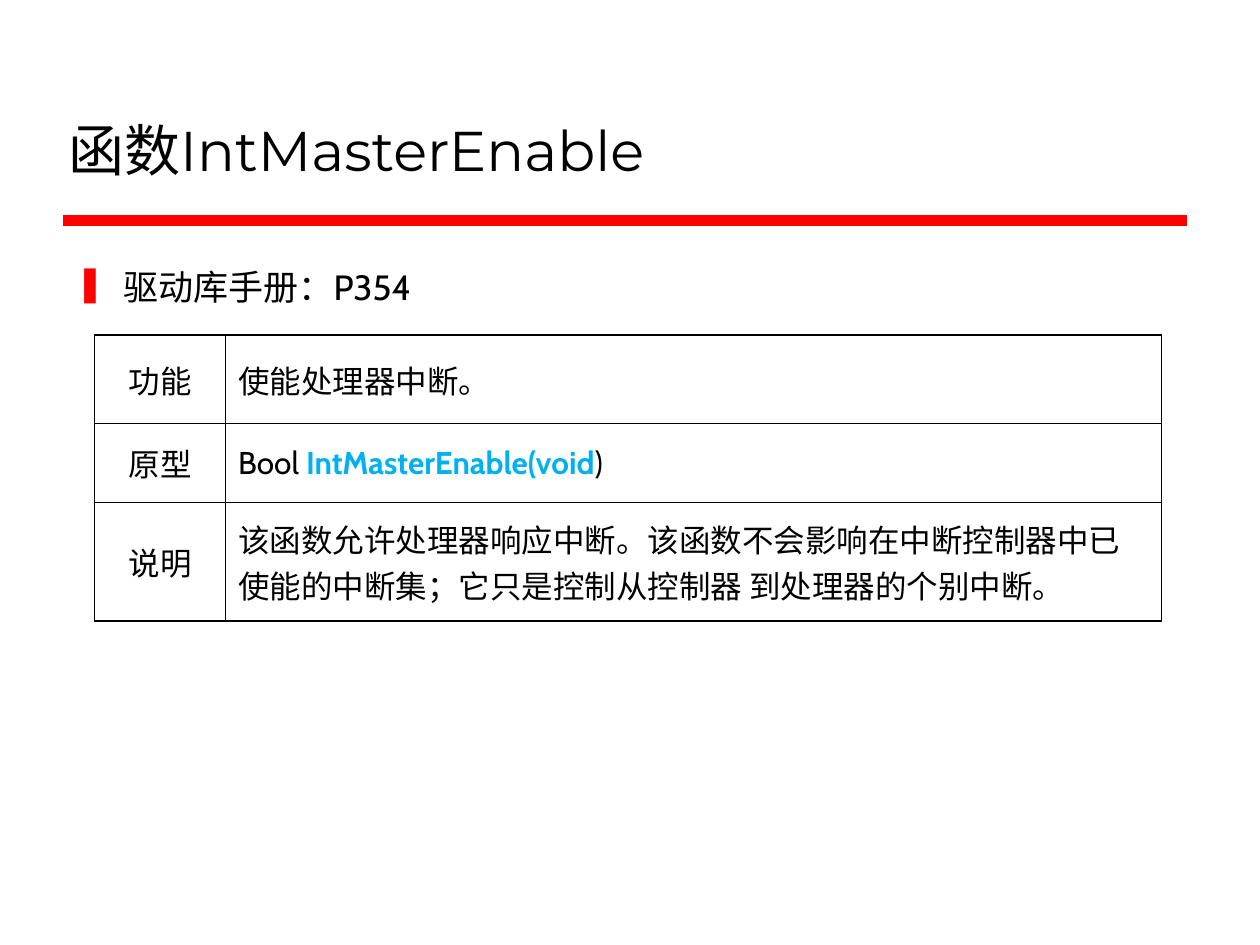
from lxml.etree import SubElement
from pptx import Presentation
from pptx.dml.color import RGBColor
from pptx.enum.shapes import MSO_CONNECTOR
from pptx.enum.text import MSO_ANCHOR, MSO_AUTO_SIZE, PP_ALIGN
from pptx.oxml.ns import qn
from pptx.util import Inches, Pt

# Content
COLORS = {"text": "000000", "accent": "FF0000", "code": "00B0F0", "paper": "FFFFFF"}
TITLE = "函数IntMasterEnable"
REFERENCE = "驱动库手册：P354"
# Each row: label, then runs of (text, is code)
ROWS = [
    ("功能", [("使能处理器中断。", False)]),
    ("原型", [("Bool ", False), ("IntMasterEnable(void", True), (")", False)]),
    ("说明", [("该函数允许处理器响应中断。该函数不会影响在中断控制器中已使能的中断集；"
             "它只是控制从控制器 到处理器的个别中断。", False)]),
]
COLUMN_WIDTHS = [1.04, 7.43]
ROW_HEIGHTS = [0.7, 0.63, 0.94]


def color(name):
    return RGBColor.from_string(COLORS[name])


def add_run(paragraph, text, size, font="Cabin", tone="text", bold=False):
    run = paragraph.add_run()
    run.text = text
    run.font.size = Pt(size)
    run.font.name = font
    run.font.bold = bold
    run.font.color.rgb = color(tone)


def add_bullet(paragraph, character, tone):
    properties = paragraph._p.get_or_add_pPr()
    properties.set("marL", str(Inches(0.38)))
    properties.set("indent", str(-Inches(0.38)))
    bullet_color = SubElement(properties, qn("a:buClr"))
    SubElement(bullet_color, qn("a:srgbClr"), val=COLORS[tone])
    SubElement(properties, qn("a:buChar"), char=character)


def set_borders(cell, tone, width):
    properties = cell._tc.get_or_add_tcPr()
    for index, side in enumerate(("a:lnL", "a:lnR", "a:lnT", "a:lnB")):
        line = properties.makeelement(qn(side), {"w": str(Pt(width))})
        fill = SubElement(line, qn("a:solidFill"))
        SubElement(fill, qn("a:srgbClr"), val=COLORS[tone])
        properties.insert(index, line)


def main():
    presentation = Presentation()
    presentation.slide_width = Inches(10)
    presentation.slide_height = Inches(7.5)
    slide = presentation.slides.add_slide(presentation.slide_layouts[5])
    slide.background.fill.solid()
    slide.background.fill.fore_color.rgb = color("paper")

    # Rule under the title
    rule = slide.shapes.add_connector(
        MSO_CONNECTOR.STRAIGHT, Inches(0.5), Inches(1.75), Inches(9.42), Inches(1.75))
    rule.line.color.rgb = color("accent")
    rule.line.width = Pt(6)
    SubElement(rule._element.spPr, qn("a:effectLst"))

    # Title
    title = slide.shapes.title
    title.left, title.top = Inches(0.44), Inches(0.25)
    title.width, title.height = Inches(8.97), Inches(1.25)
    title.text_frame.auto_size = MSO_AUTO_SIZE.NONE
    title.text_frame.vertical_anchor = MSO_ANCHOR.BOTTOM
    paragraph = title.text_frame.paragraphs[0]
    paragraph.alignment = PP_ALIGN.LEFT
    add_run(paragraph, TITLE, 32, font="Montserrat")

    # Manual reference
    reference = slide.shapes.add_textbox(
        Inches(0.5), Inches(2.06), Inches(8.94), Inches(4.56))
    reference.text_frame.word_wrap = True
    paragraph = reference.text_frame.paragraphs[0]
    paragraph.space_before = Pt(4)
    add_bullet(paragraph, "❚", "accent")
    add_run(paragraph, REFERENCE, 20)

    # Function table
    table = slide.shapes.add_table(
        len(ROWS), len(COLUMN_WIDTHS), Inches(0.75), Inches(2.66),
        Inches(sum(COLUMN_WIDTHS)), Inches(sum(ROW_HEIGHTS))).table
    table.first_row = table.horz_banding = False
    for column, width in zip(table.columns, COLUMN_WIDTHS):
        column.width = Inches(width)
    for row, height, (label, description) in zip(table.rows, ROW_HEIGHTS, ROWS):
        row.height = Inches(height)
        label_cell, description_cell = row.cells
        for cell, runs in ((label_cell, [(label, False)]), (description_cell, description)):
            cell.vertical_anchor = MSO_ANCHOR.MIDDLE
            cell.fill.background()
            set_borders(cell, "text", 1)
            paragraph = cell.text_frame.paragraphs[0]
            for text, is_code in runs:
                add_run(paragraph, text, 18, tone="code" if is_code else "text", bold=is_code)
        label_cell.text_frame.paragraphs[0].alignment = PP_ALIGN.CENTER
        paragraph = description_cell.text_frame.paragraphs[0]
        paragraph.space_before = paragraph.space_after = Pt(6)

    presentation.save("out.pptx")


if __name__ == "__main__":
    main()
